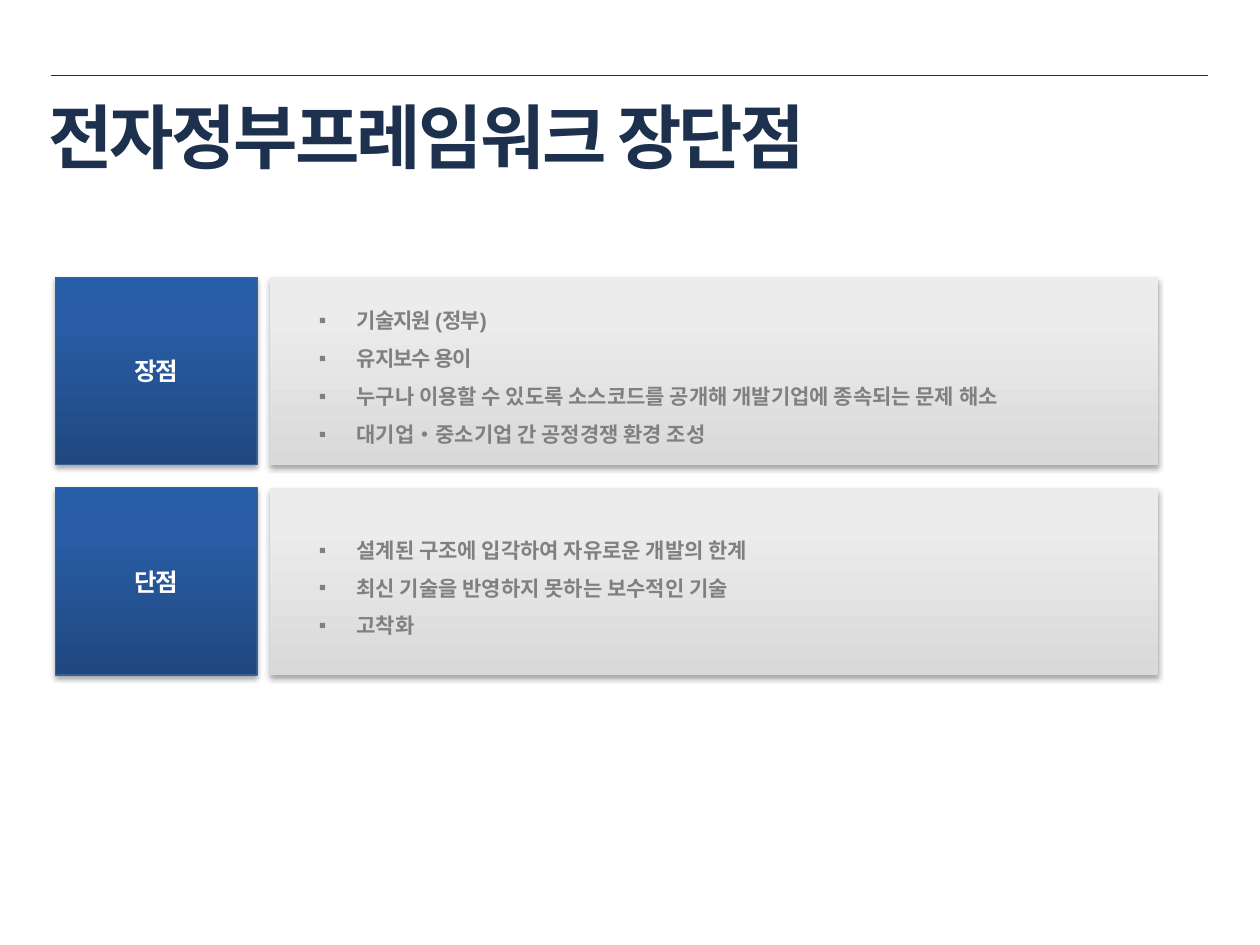
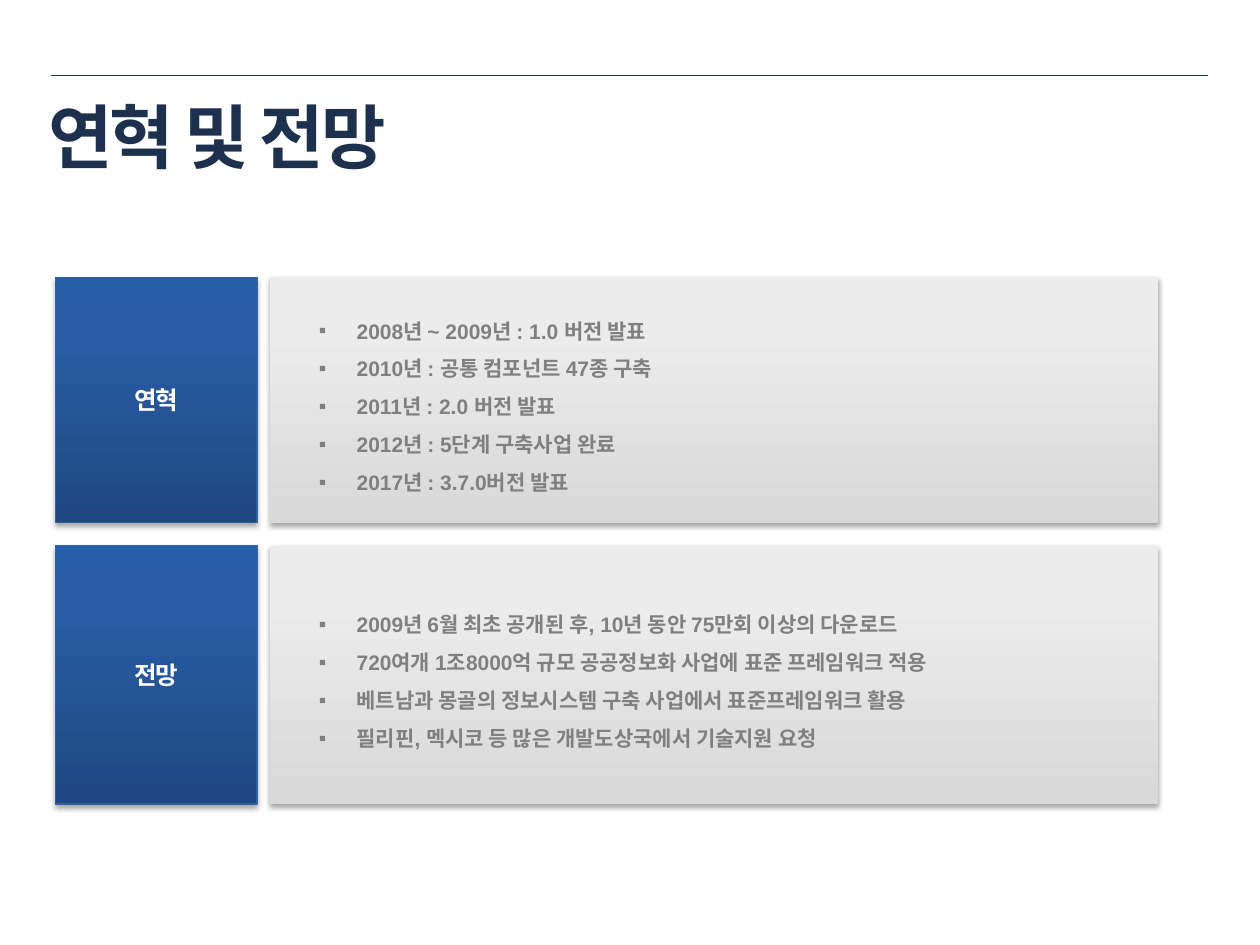
from lxml.etree import SubElement
from pptx import Presentation
from pptx.dml.color import RGBColor
from pptx.enum.shapes import MSO_CONNECTOR, MSO_SHAPE
from pptx.enum.text import MSO_ANCHOR, PP_ALIGN
from pptx.oxml.ns import qn
from pptx.util import Cm, Pt

COLOURS = {
    "rule": "1C314E",
    "title": "1D314E",
    "label_border": "35609C",
    "label_text": "FFFFFF",
    "bullet_text": "808080",
    "shadow": "000000",
}
LABEL_GRADIENT = [(0, "1F4880"), (80, "295EA7"), (100, "265EAA")]
PANEL_GRADIENT = [(0, "D9D9D9"), (80, "ECECEC")]

FONT = "Arial"
KOREAN_FONT = "Noto Sans CJK KR"

RULE_LEFT, RULE_RIGHT, RULE_TOP = Cm(1.02), Cm(24.36), Cm(1.52)
TITLE_BOX = Cm(0.72), Cm(1.47), Cm(23.27), Cm(2.54)
LABEL_LEFT, LABEL_WIDTH = Cm(1.12), Cm(4.06)
PANEL_LEFT, PANEL_WIDTH = Cm(5.44), Cm(17.91)
ROWS_TOP, ROW_GAP = Cm(5.59), Cm(0.46)

SLIDES = [
    ("전자정부프레임워크 장단점", [
        ("장점", Cm(3.78), [
            ("기술지원 (정부)", FONT, -0.5),
            ("유지보수 용이", FONT, -0.5),
            ("누구나 이용할 수 있도록 소스코드를 공개해 개발기업에 종속되는 문제 해소", FONT, 0),
            ("대기업‧중소기업 간 공정경쟁 환경 조성", FONT, 0),
        ]),
        ("단점", Cm(3.78), [
            ("설계된 구조에 입각하여 자유로운 개발의 한계", KOREAN_FONT, 0),
            ("최신 기술을 반영하지 못하는 보수적인 기술", FONT, 0),
            ("고착화", FONT, 0),
        ]),
    ]),
    ("연혁 및 전망", [
        ("연혁", Cm(4.95), [
            ("2008년 ~ 2009년 : 1.0 버전 발표", FONT, 0),
            ("2010년 : 공통 컴포넌트 47종 구축", FONT, 0),
            ("2011년 : 2.0 버전 발표", FONT, 0),
            ("2012년 : 5단계 구축사업 완료", FONT, 0),
            ("2017년 : 3.7.0버전 발표", FONT, 0),
        ]),
        ("전망", Cm(5.21), [
            ("2009년 6월 최초 공개된 후, 10년 동안 75만회 이상의 다운로드", FONT, 0),
            ("720여개 1조8000억 규모 공공정보화 사업에 표준 프레임워크 적용", FONT, 0),
            ("베트남과 몽골의 정보시스템 구축 사업에서 표준프레임워크 활용", FONT, 0),
            ("필리핀, 멕시코 등 많은 개발도상국에서 기술지원 요청", FONT, 0),
        ]),
    ]),
]


def format_paragraph(paragraph, size, colour, alignment, spacing=0, font_name=FONT):
    paragraph.alignment = alignment
    for run in paragraph.runs:
        run.font.name = font_name
        run.font.size = Pt(size)
        run.font.bold = True
        run.font.color.rgb = RGBColor.from_string(COLOURS[colour])
        run._r.get_or_add_rPr().set("spc", str(round(spacing * 100)))


def add_bullet(paragraph):
    properties = paragraph._p.get_or_add_pPr()
    properties.set("marL", str(Cm(1.5)))
    properties.set("indent", str(-Cm(0.76)))
    SubElement(properties, qn("a:buFont"), typeface=FONT)
    SubElement(properties, qn("a:buChar"), char="▪")


def add_colour(parent, colour):
    return SubElement(parent, qn("a:srgbClr"), val=colour)


def fill_gradient(shape, stops):
    shape.fill.gradient()
    shape.fill.gradient_angle = 90
    stop_list = shape._element.spPr.find(qn("a:gradFill")).find(qn("a:gsLst"))
    for stop in list(stop_list):
        stop_list.remove(stop)
    for position, colour in stops:
        add_colour(SubElement(stop_list, qn("a:gs"), pos=str(position * 1000)), colour)


def add_shadow(shape):
    shape.shadow.inherit = False
    effects = shape._element.spPr.find(qn("a:effectLst"))
    shadow = SubElement(effects, qn("a:outerShdw"), blurRad=str(Pt(3.1)),
                        dist=str(Pt(1.8)), dir="5400000", rotWithShape="0")
    SubElement(add_colour(shadow, COLOURS["shadow"]), qn("a:alpha"), val="35000")


def add_box(slide, left, top, width, height, stops):
    shape = slide.shapes.add_shape(MSO_SHAPE.RECTANGLE, left, top, width, height)
    fill_gradient(shape, stops)
    shape.line.fill.background()
    add_shadow(shape)
    shape.text_frame.word_wrap = True
    shape.text_frame.vertical_anchor = MSO_ANCHOR.MIDDLE
    return shape


def add_label(slide, top, height, text):
    label = add_box(slide, LABEL_LEFT, top, LABEL_WIDTH, height, LABEL_GRADIENT)
    label.line.color.rgb = RGBColor.from_string(COLOURS["label_border"])
    label.line.width = Pt(0.75)
    label.text_frame.text = text
    format_paragraph(label.text_frame.paragraphs[0], 14, "label_text",
                     PP_ALIGN.CENTER, -0.5)


def add_panel(slide, top, height, bullets):
    panel = add_box(slide, PANEL_LEFT, top, PANEL_WIDTH, height, PANEL_GRADIENT)
    text_frame = panel.text_frame
    text_frame.text = "\n".join(text for text, _, _ in bullets)
    for paragraph, (_, font_name, spacing) in zip(text_frame.paragraphs, bullets):
        format_paragraph(paragraph, 12, "bullet_text", PP_ALIGN.LEFT, spacing, font_name)
        paragraph.line_spacing = 1.5
        add_bullet(paragraph)


def add_rule(slide):
    rule = slide.shapes.add_connector(MSO_CONNECTOR.STRAIGHT, RULE_LEFT, RULE_TOP,
                                      RULE_RIGHT, RULE_TOP)
    rule.line.color.rgb = RGBColor.from_string(COLOURS["rule"])
    rule.line.width = Pt(0.25)
    SubElement(rule._element.spPr, qn("a:effectLst"))


def set_title(slide, text):
    title = slide.shapes.title
    title.left, title.top, title.width, title.height = TITLE_BOX
    title.text_frame.text = text
    title.text_frame.vertical_anchor = MSO_ANCHOR.MIDDLE
    format_paragraph(title.text_frame.paragraphs[0], 40, "title", PP_ALIGN.LEFT, -1.5)


def add_content_slide(presentation, title, rows):
    slide = presentation.slides.add_slide(presentation.slide_layouts[5])
    add_rule(slide)
    set_title(slide, title)
    top = ROWS_TOP
    for label, height, bullets in rows:
        add_label(slide, top, height, label)
        add_panel(slide, top, height, bullets)
        top += height + ROW_GAP


def main():
    presentation = Presentation()
    presentation.slide_width = Cm(25.4)
    presentation.slide_height = Cm(19.05)
    for title, rows in SLIDES:
        add_content_slide(presentation, title, rows)
    presentation.save("out.pptx")


if __name__ == "__main__":
    main()
